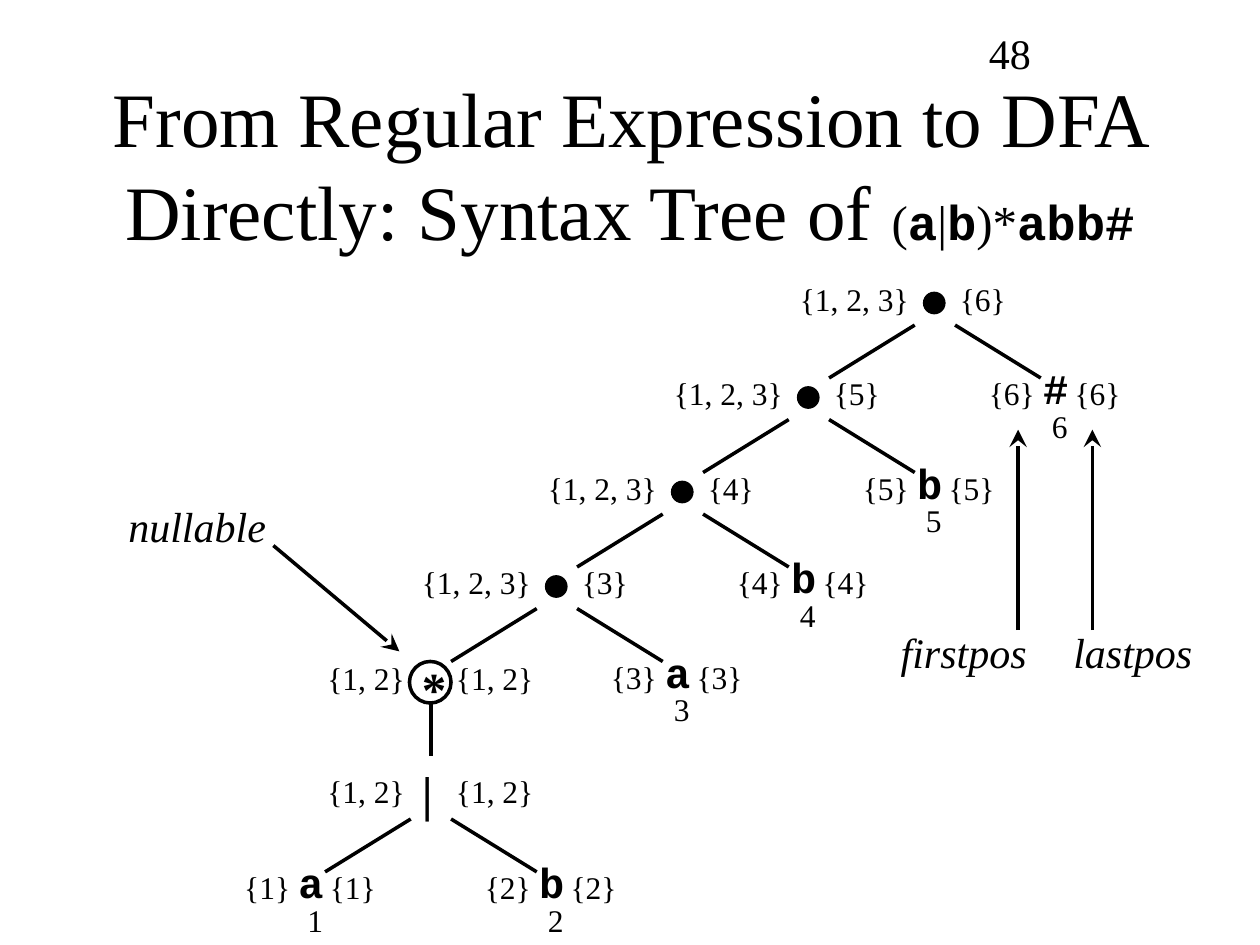
from dataclasses import dataclass

from lxml.etree import SubElement
from pptx import Presentation
from pptx.dml.color import RGBColor
from pptx.enum.shapes import MSO_CONNECTOR as Connector, MSO_SHAPE as Shape
from pptx.enum.text import MSO_ANCHOR as Anchor, MSO_AUTO_SIZE as AutoSize, PP_ALIGN as Align
from pptx.oxml.ns import qn
from pptx.util import Inches, Pt


@dataclass(frozen=True)
class Theme:
    ink: RGBColor = RGBColor(0, 0, 0)
    serif: str = "Times New Roman"
    mono: str = "Courier New"
    title: int = 44
    operator: int = 28
    letter: int = 24
    label: int = 18
    thin: float = 0.75
    line: float = 2


@dataclass(frozen=True)
class Box:
    left: float
    top: float
    width: float
    height: float


THEME = Theme()
STEP_X, STEP_Y = 1, 0.75  # from one tree level to the next
LABEL_HEIGHT = 0.4


def style_font(font, size, name=THEME.serif, bold=False, italic=False):
    font.name, font.size = name, Pt(size)
    font.bold, font.italic = bold, italic
    font.color.rgb = THEME.ink


def add_text(slide, text, box, size, **style):
    shape = slide.shapes.add_textbox(
        Inches(box.left), Inches(box.top), Inches(box.width), Inches(box.height))
    frame = shape.text_frame
    frame.word_wrap = True
    frame.auto_size = AutoSize.NONE
    frame.margin_right = 0  # leaves room for the text to stay on one line
    paragraph = frame.paragraphs[0]
    paragraph.text = text
    style_font(paragraph.font, size, **style)


def add_line(slide, start, end, arrow=False):
    line = slide.shapes.add_connector(
        Connector.STRAIGHT, *(Inches(value) for value in (*start, *end)))
    line.line.color.rgb = THEME.ink
    line.line.width = Pt(THEME.line)
    if arrow:
        SubElement(line.line._get_or_add_ln(), qn("a:tailEnd"),
                   type="stealth", w="lg", len="lg")
    SubElement(line._element.spPr, qn("a:effectLst"))


def add_circle(slide, left, top, size, width, filled):
    shape = slide.shapes.add_shape(
        Shape.OVAL, Inches(left), Inches(top), Inches(size), Inches(size))
    shape.shadow.inherit = False
    if filled:
        shape.fill.solid()
        shape.fill.fore_color.rgb = THEME.ink
    else:
        shape.fill.background()
    shape.line.color.rgb = THEME.ink
    shape.line.width = Pt(width)


def add_set(slide, members, left, top):
    width = {1: 0.56, 2: 0.81, 3: 1.06}[len(members)]
    add_text(slide, "{" + ", ".join(members) + "}",
             Box(left, top, width, LABEL_HEIGHT), THEME.label)


def add_branches(slide, x, top):
    for side in (-1, 1):
        add_line(slide, (x + side * 0.16, top), (x + side * 0.84, top + 0.42))


def add_concatenation(slide, x, top, last):
    """Dot node centred on x, with its two sets and two branches."""
    add_circle(slide, x - 0.09, top + 0.15, 0.17, THEME.thin, True)
    add_set(slide, "123", x - 1.17, top)
    add_set(slide, last, x + 0.1, top)
    add_branches(slide, x, top + 0.41)


def add_operator(slide, symbol, x, symbol_top, set_top):
    """Star or alternation node centred on x."""
    add_set(slide, "12", x - 0.92, set_top)
    add_set(slide, "12", x + 0.1, set_top)
    add_text(slide, symbol, Box(x - 0.17, symbol_top, 0.2, 0.57),
             THEME.operator, bold=True)


def add_leaf(slide, symbol, position, left, top):
    """Input letter between its sets, with its position below."""
    add_text(slide, symbol, Box(left, top, 0.33, 0.5), THEME.letter,
             name=THEME.mono, bold=True)
    add_set(slide, position, left - 0.43, top + 0.09)
    add_set(slide, position, left + 0.25, top + 0.09)
    add_text(slide, position, Box(left + 0.07, top + 0.35, 0.32, LABEL_HEIGHT), THEME.label)


def add_tree(slide, box):
    root_x = box.left + 5.59
    # Spine of concatenations, each with a leaf on the right
    for level, (symbol, position) in enumerate(zip("#bba", "6543")):
        x, top = root_x - level * STEP_X, box.top + level * STEP_Y
        add_concatenation(slide, x, top, position)
        add_leaf(slide, symbol, position, x + 0.76, top + 0.66)

    # Circled star, then the alternation below it
    x, star_top = root_x - 4 * STEP_X, box.top + 3.01
    add_operator(slide, "*", x, star_top, star_top)
    add_circle(slide, x - 0.17, star_top + 0.07, 0.33, THEME.line, False)
    add_line(slide, (x, star_top + 0.4), (x, star_top + 0.82))
    add_operator(slide, "|", x, star_top + 0.82, star_top + 0.9)
    add_branches(slide, x, star_top + 1.32)
    for symbol, position, offset in (("a", "1", -1.15), ("b", "2", 0.76)):
        add_leaf(slide, symbol, position, x + offset, box.top + 4.58)


def add_annotation(slide, text, box, start, end):
    """Italic term with an arrow; arrow ends are offsets from the box."""
    add_text(slide, text, box, THEME.letter, italic=True)
    add_line(slide, *((box.left + dx, box.top + dy) for dx, dy in (start, end)), arrow=True)


def add_title(slide, box):
    title = slide.shapes.title
    title.left, title.top = Inches(box.left), Inches(box.top)
    title.width, title.height = Inches(box.width), Inches(box.height)
    frame = title.text_frame
    frame.word_wrap = True
    frame.auto_size = AutoSize.NONE
    frame.vertical_anchor = Anchor.MIDDLE
    paragraph = frame.paragraphs[0]
    paragraph.alignment = Align.CENTER
    heading = paragraph.add_run()
    heading.text = "From Regular Expression to DFA Directly: Syntax Tree of "
    style_font(heading.font, THEME.title)
    # Operators are serif, input letters bold monospace
    for part in ("(", "a", "|", "b", ")*", "abb#"):
        run = paragraph.add_run()
        run.text = part
        is_input = part[0].isalpha()
        style_font(run.font, THEME.operator,
                   name=THEME.mono if is_input else THEME.serif, bold=is_input)


def main():
    presentation = Presentation()
    presentation.slide_width, presentation.slide_height = Inches(10), Inches(7.5)
    slide = presentation.slides.add_slide(presentation.slide_layouts[5])

    add_title(slide, Box(0.75, 0.67, 8.5, 1.25))
    add_tree(slide, Box(1.83, 2.17, 7.16, 5.33))
    add_annotation(slide, "nullable", Box(0.92, 3.92, 1.29, 0.5), (1.25, 0.41), (2.25, 1.25))
    add_annotation(slide, "firstpos", Box(7.05, 4.92, 1.2, 0.5), (1.03, 0.08), (1.03, -1.51))
    add_annotation(slide, "lastpos", Box(8.42, 4.92, 1.14, 0.5), (0.25, 0.08), (0.25, -1.51))
    # Page number
    add_text(slide, "48", Box(7.75, 0.17, 2.08, 0.5), THEME.letter)

    presentation.save("out.pptx")


if __name__ == "__main__":
    main()
